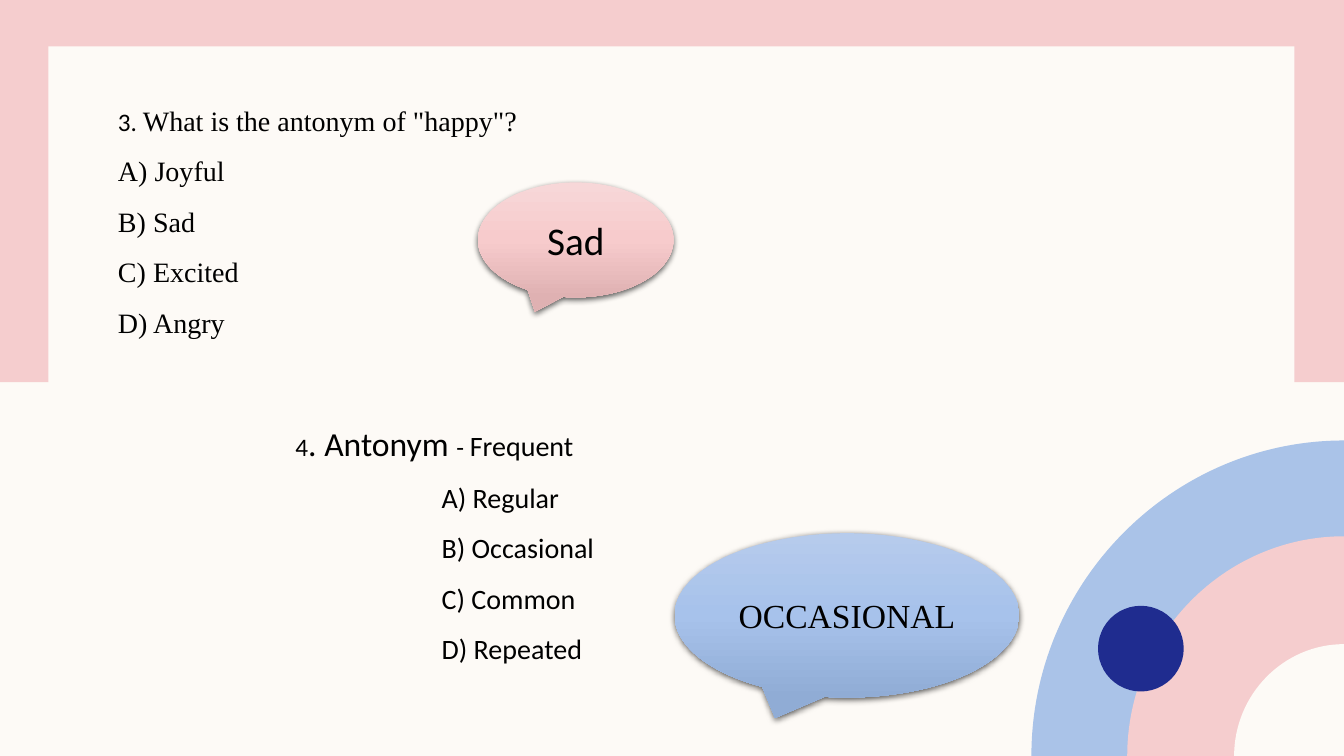
from copy import deepcopy

from lxml import etree
from pptx import Presentation
from pptx import util as u
from pptx.dml.color import RGBColor
from pptx.enum import shapes, text
from pptx.oxml.ns import qn

CREAM, PINK, SKY, NAVY, BLACK = "FDFAF6", "F5CDCE", "AAC3E8", "1F2C8F", "000000"
SANS, SERIF = "Calibri", "Times New Roman"
WIDTH, HEIGHT = 13.33, 7.5
ROUNDNESS = 0.55


def colour(code):
    return RGBColor.from_string(code)


class QuizSlide:
    def __init__(self, deck):
        self.slide = deck.slides.add_slide(deck.slide_layouts[3])
        self.tree = self.slide.shapes
        background = self.slide.background.fill
        background.solid()
        background.fore_color.rgb = colour(CREAM)
        title = self.tree.title.element
        title.getparent().remove(title)

    def paint(self, shape, code):
        shape.shadow.inherit = False
        shape.fill.solid()
        shape.fill.fore_color.rgb = colour(code)
        shape.line.fill.background()

    def block(self, kind, box, code):
        self.paint(self.tree.add_shape(kind, *map(u.Inches, box)), code)

    def corner_disc(self, left, top, code):
        across, down = WIDTH - left, HEIGHT - top
        points = [(left, HEIGHT), (left, HEIGHT - ROUNDNESS * down),
                  (WIDTH - ROUNDNESS * across, top), (WIDTH, top)]
        outline = self.tree.build_freeform(u.Inches(WIDTH), u.Inches(HEIGHT))
        outline.add_line_segments(
            [(u.Inches(x), u.Inches(y)) for x, y in points], close=True)
        disc = outline.convert_to_shape()
        sides = list(disc.element.iter(qn("a:lnTo")))[1:4]
        curve = etree.Element(qn("a:cubicBezTo"))
        sides[0].addprevious(curve)
        for side in sides:
            curve.append(side[0])
            side.getparent().remove(side)
        self.paint(disc, code)

    def add_run(self, paragraph, words, size, face):
        run = paragraph.add_run()
        run.text = words
        run.font.size = u.Pt(size)
        run.font.name = face
        run.font.color.rgb = colour(BLACK)

    def question(self, index, box, paragraphs, indents=(0, 0)):
        body = self.slide.placeholders[index]
        body.left, body.top, body.width, body.height = map(u.Inches, box)
        self.tree.element.append(body.element)
        frame = body.text_frame
        frame.word_wrap = True
        frame.auto_size = text.MSO_AUTO_SIZE.NONE
        for number, (lines, indent) in enumerate(zip(paragraphs, indents)):
            paragraph = frame.add_paragraph() if number else frame.paragraphs[0]
            paragraph.line_spacing = 1.5
            paragraph.space_before = u.Pt(0)
            properties = paragraph._p.get_or_add_pPr()
            properties.set("marL", str(u.Inches(indent)))
            properties.set("indent", "0")
            etree.SubElement(properties, qn("a:buNone"))
            for row, runs in enumerate(lines):
                if row:
                    paragraph.add_line_break()
                for run in runs:
                    self.add_run(paragraph, *run)

    def answer(self, box, words, size, face, shades):
        bubble = self.tree.add_shape(
            shapes.MSO_SHAPE.OVAL_CALLOUT, *map(u.Inches, box))
        bubble.line.fill.background()
        bubble.fill.gradient()
        bubble.fill.gradient_angle = 270
        stop_list = bubble.element.spPr.find(".//" + qn("a:gsLst"))
        stop_list.insert(1, deepcopy(stop_list[0]))
        for stop, place, shade in zip(
                bubble.fill.gradient_stops, (0, 0.5, 1), shades):
            stop.position = place
            stop.color.rgb = colour(shade)
        bubble.shadow.inherit = False
        effects = bubble.element.spPr.find(qn("a:effectLst"))
        shadow = etree.SubElement(
            effects, qn("a:outerShdw"), blurRad=str(u.Pt(4.5)),
            dist=str(u.Pt(1.5)), dir="5400000", algn="ctr", rotWithShape="0")
        tint = etree.SubElement(shadow, qn("a:srgbClr"), val=BLACK)
        etree.SubElement(tint, qn("a:alpha"), val="63000")
        frame = bubble.text_frame
        frame.word_wrap = True
        frame.vertical_anchor = text.MSO_ANCHOR.MIDDLE
        paragraph = frame.paragraphs[0]
        paragraph.alignment = text.PP_ALIGN.CENTER
        self.add_run(paragraph, words, size, face)


def option_lines(face, *options):
    return [[(option, 20, face)] for option in options]


def main():
    deck = Presentation()
    deck.slide_width, deck.slide_height = u.Inches(WIDTH), u.Inches(HEIGHT)
    quiz = QuizSlide(deck)

    quiz.block(shapes.MSO_SHAPE.RECTANGLE, (-0.03, 0, 13.36, 3.79), PINK)
    quiz.block(shapes.MSO_SHAPE.RECTANGLE, (0.48, 0.46, 12.36, 6.59), CREAM)
    for left, top, code in ((10.23, 4.37, SKY), (11.18, 5.32, PINK),
                            (12.24, 6.39, CREAM)):
        quiz.corner_disc(left, top, code)
    quiz.block(shapes.MSO_SHAPE.OVAL, (10.89, 6.01, 0.85, 0.85), NAVY)

    happy = [("3. ", 18, SANS), ('What is the antonym of "happy"?', 20, SERIF)]
    quiz.question(
        1, (1.07, 0.81, 7.01, 2.56),
        [[happy] + option_lines(SERIF, "A) Joyful", "B) Sad", "C) Excited"),
         option_lines(SERIF, "D) Angry")])
    quiz.answer((4.74, 1.81, 1.94, 1.14), "Sad", 28, SANS,
                ("F7D7D8", "F7CBCC", "DFB1B2"))

    frequent = [("4", 18, SANS), (". Antonym ", 24, SANS),
                ("- ", 18, SANS), ("Frequent", 20, SANS)]
    quiz.question(
        2, (2.83, 3.95, 3.76, 2.68),
        [[frequent], option_lines(SANS, "A) Regular", "B) Occasional",
                                  "C) Common", "D) Repeated")],
        indents=(0, 1.45))
    quiz.answer((6.69, 5.29, 3.42, 1.63), "OCCASIONAL", 24, SERIF,
                ("B6CBEC", "A7C2EB", "90ACD5"))
    deck.save("out.pptx")


if __name__ == "__main__":
    main()
